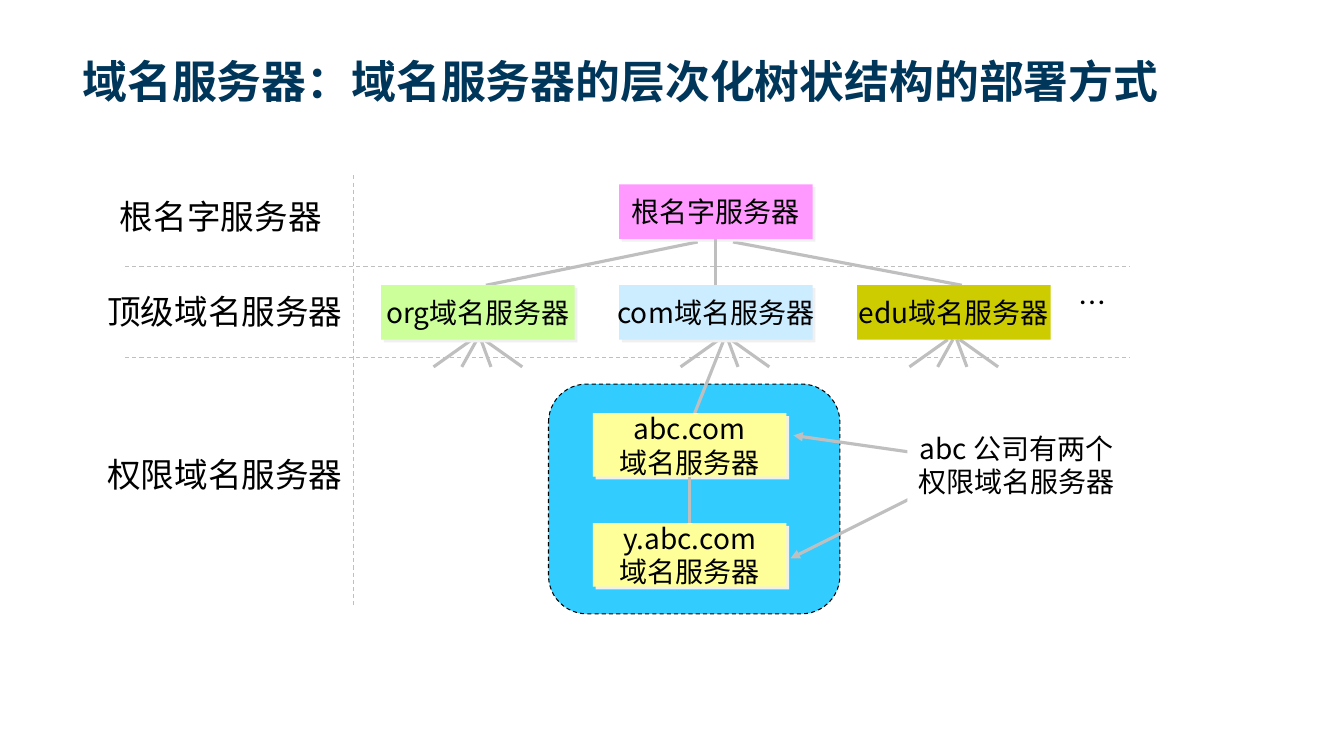
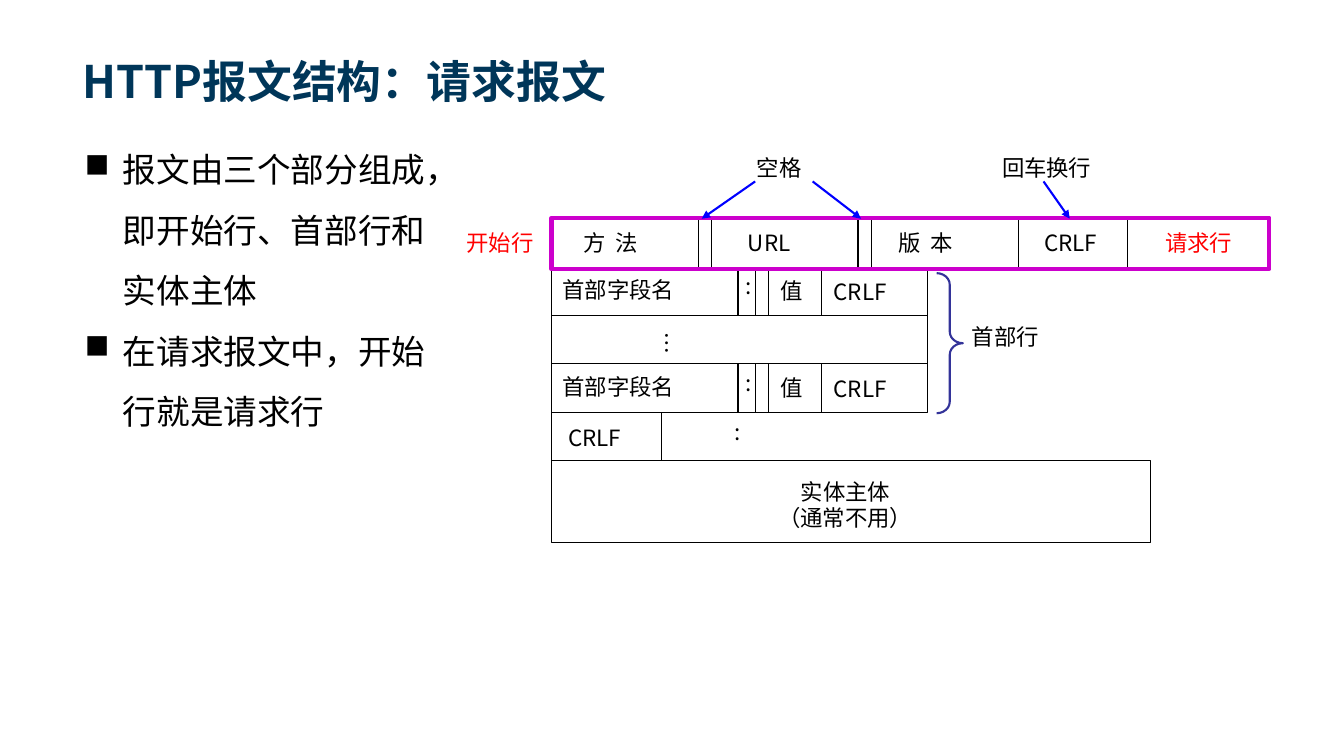
"""Build two slides on the name server hierarchy and the HTTP request message."""
import pptx
import pptx.dml.color
import pptx.enum.dml
import pptx.enum.shapes
import pptx.enum.text
import pptx.oxml
import pptx.oxml.ns
import pptx.util
from lxml import etree

Inches = pptx.util.Inches
Pt = pptx.util.Pt
RGBColor = pptx.dml.color.RGBColor
SHAPE = pptx.enum.shapes.MSO_SHAPE
ALIGN = pptx.enum.text.PP_ALIGN
ANCHOR = pptx.enum.text.MSO_ANCHOR
DASH = pptx.enum.dml.MSO_LINE.DASH
qn = pptx.oxml.ns.qn

FONT = "Noto Sans CJK SC"
NAVY = RGBColor(0x00, 0x36, 0x59)
BLACK = RGBColor(0x00, 0x00, 0x00)
WHITE = RGBColor(0xFF, 0xFF, 0xFF)
GREY = RGBColor(0xBF, 0xBF, 0xBF)
PINK = RGBColor(0xFF, 0x99, 0xFF)
GREEN = RGBColor(0xCC, 0xFF, 0x99)
PALE_BLUE = RGBColor(0xCC, 0xEC, 0xFF)
OLIVE = RGBColor(0xCC, 0xCC, 0x00)
YELLOW = RGBColor(0xFF, 0xFF, 0x99)
SKY = RGBColor(0x33, 0xCC, 0xFF)
RED = RGBColor(0xFF, 0x00, 0x00)
BLUE = RGBColor(0x00, 0x00, 0xFF)
INDIGO = RGBColor(0x33, 0x33, 0x99)
MAGENTA = RGBColor(0xCC, 0x00, 0xCC)
SHADOW_HEX = "F0F0F0"

SERVER_W, SERVER_H = 1.92, 0.54
ROW_TOP, ROW_H = 2.17, 0.48
TABLE_LEFT, HEADER_W = 5.47, 3.73


def write(shape, text, size, color=BLACK, align=ALIGN.LEFT, anchor=ANCHOR.TOP,
          wrap=True, bold=False, font=FONT):
    """Put formatted text into a shape."""
    frame = shape.text_frame
    frame.text = text
    frame.word_wrap = wrap
    frame.vertical_anchor = anchor
    for para in frame.paragraphs:
        para.alignment = align
        for span in para.runs:
            span.font.size = Pt(size)
            span.font.bold = bold
            span.font.name = font
            span.font.color.rgb = color
            east_asian = etree.SubElement(span.font._element, qn("a:ea"))
            east_asian.set("typeface", FONT)


def add_text(slide, text, left, top, width, height, size, **style):
    """Add a text box."""
    box = slide.shapes.add_textbox(
        Inches(left), Inches(top), Inches(width), Inches(height))
    write(box, text, size, **style)
    return box


def add_title(slide, text, font=FONT):
    """Add the slide title."""
    add_text(slide, text, 0.72, 0.14, 11.88, 0.98, 32, color=NAVY,
             anchor=ANCHOR.BOTTOM, bold=True, font=font)


def add_box(slide, left, top, width, height, fill=None, line=None, weight=0.75,
            kind=SHAPE.RECTANGLE):
    """Add a preset shape without a shadow."""
    box = slide.shapes.add_shape(
        kind, Inches(left), Inches(top), Inches(width), Inches(height))
    box.shadow.inherit = False
    if fill is None:
        box.fill.background()
    else:
        box.fill.solid()
        box.fill.fore_color.rgb = fill
    if line is None:
        box.line.fill.background()
    else:
        box.line.color.rgb = line
        box.line.width = Pt(weight)
    return box


def add_line(slide, start, end, color=BLACK, weight=0.75, dashed=False, arrow=False):
    """Add a straight line between two points."""
    line = slide.shapes.add_connector(
        pptx.enum.shapes.MSO_CONNECTOR.STRAIGHT,
        Inches(start[0]), Inches(start[1]), Inches(end[0]), Inches(end[1]))
    line.line.color.rgb = color
    line.line.width = Pt(weight)
    if dashed:
        line.line.dash_style = DASH
    if arrow:
        tail = etree.SubElement(line.line._get_or_add_ln(), qn("a:tailEnd"))
        tail.set("type", "triangle")
    etree.SubElement(line._element.spPr, qn("a:effectLst"))
    return line


def add_server(slide, text, left, top, fill, height=SERVER_H, shadow=True):
    """Add a name server box."""
    box = add_box(slide, left, top, SERVER_W, height, fill)
    write(box, text, 20, align=ALIGN.CENTER, anchor=ANCHOR.MIDDLE, wrap=False)
    if shadow:
        effects = box._element.spPr.find(qn("a:effectLst"))
        outer = etree.SubElement(effects, qn("a:outerShdw"))
        outer.set("dist", str(Pt(2.8)))
        outer.set("dir", "2700000")
        etree.SubElement(outer, qn("a:srgbClr")).set("val", SHADOW_HEX)
    return box


def add_verticals(slide, positions, row):
    """Add cell dividers to one row of the message."""
    top = ROW_TOP + row * ROW_H
    for x in positions:
        add_line(slide, (x, top), (x, top + ROW_H))


def add_header_row(slide, row):
    """Add one header field row of the message."""
    top = ROW_TOP + row * ROW_H
    add_box(slide, TABLE_LEFT, top, HEADER_W, ROW_H, line=BLACK)
    add_verticals(slide, (7.32, 7.49, 7.62, 8.15), row)
    for text, left, drop, width in (("首部字段名", 5.48, 0.04, 1.72),
                                    (":", 7.3, 0, 0.3),
                                    ("值", 7.64, 0.05, 0.49),
                                    ("CRLF", 8.17, 0.06, 0.86)):
        add_text(slide, text, left, top + drop, width, 0.34, 16)


def add_bullets(slide, items):
    """Add the bulleted list."""
    box = add_text(slide, "\n".join(items), 0.74, 1.23, 3.64, 3.06, 24)
    for para in box.text_frame.paragraphs:
        properties = para._element.get_or_add_pPr()
        properties.set("marL", str(Inches(0.38)))
        properties.set("indent", str(-Inches(0.38)))
        etree.SubElement(properties, qn("a:buChar")).set("char", "■")
        para.line_spacing = 1.5


def build_servers(slide):
    """Draw the tree of name servers."""
    add_title(slide, "域名服务器：域名服务器的层次化树状结构的部署方式", "Arial")
    zone = add_box(slide, 5.44, 3.81, 2.89, 2.28, SKY, BLACK,
                   kind=SHAPE.ROUNDED_RECTANGLE)
    zone.line.dash_style = DASH

    for y in (2.64, 3.55):
        add_line(slide, (1.24, y), (11.2, y), GREY, dashed=True)
    add_line(slide, (3.51, 1.74), (3.51, 6), GREY, dashed=True)
    for text, left, top, width in (("根名字服务器", 1.08, 1.89, 2.22),
                                   ("顶级域名服务器", 0.95, 2.84, 2.56),
                                   ("权限域名服务器", 0.95, 4.45, 2.56)):
        add_text(slide, text, left, top, width, 0.51, 24, align=ALIGN.CENTER)

    twigs = ((0.07, 0.45), (0.04, 0.14), (-0.05, -0.43), (0, -0.15))
    for center in (4.73, 7.18, 9.45):
        for near, far in twigs:
            if center == 7.18 and near == 0:
                end = (6.89, 4.1)
            else:
                end = (center + far, 3.64)
            add_line(slide, (center + near, 3.37), end, GREY, 2.25)
    for start, end in (((6.92, 2.4), (4.82, 2.83)), ((7.27, 2.4), (9.54, 2.83))):
        add_line(slide, start, end, GREY, 2.25)
    for start, end in (((9.27, 4.52), (7.87, 4.32)), ((9.28, 4.82), (7.84, 5.54))):
        add_line(slide, start, end, GREY, 2.25, arrow=True)

    root = add_server(slide, "根名字服务器", 6.14, 1.83, PINK)
    add_server(slide, "org域名服务器", 3.78, 2.83, GREEN)
    com = add_server(slide, "com域名服务器", 6.14, 2.83, PALE_BLUE)
    add_server(slide, "edu域名服务器", 8.5, 2.83, OLIVE, shadow=False)
    add_text(slide, "…", 10.6, 2.78, 0.43, 0.44, 20, wrap=False)
    first = add_server(slide, "abc.com\n域名服务器", 5.88, 4.1, YELLOW, 0.63)
    second = add_server(slide, "y.abc.com\n域名服务器", 5.88, 5.19, YELLOW, 0.63)
    for upper, lower in ((root, com), (first, second)):
        link = add_line(slide, (0, 0), (1, 1), GREY, 2.25)
        link.begin_connect(upper, 2)
        link.end_connect(lower, 0)

    note = add_box(slide, 9, 4.23, 2.16, 0.77, WHITE)
    write(note, "abc 公司有两个\n权限域名服务器", 20, align=ALIGN.CENTER)


def build_request(slide):
    """Draw the layout of an HTTP request message."""
    add_title(slide, "HTTP报文结构：请求报文")
    add_bullets(slide, ("报文由三个部分组成，即开始行、首部行和实体主体",
                        "在请求报文中，开始行就是请求行"))

    add_box(slide, TABLE_LEFT, ROW_TOP, 5.71, ROW_H, line=BLACK)
    add_verticals(slide, (6.93, 7.06, 8.51, 8.64, 10.1), 0)
    for row in (1, 3):
        add_header_row(slide, row)
    add_verticals(slide, (TABLE_LEFT, TABLE_LEFT + HEADER_W), 2)
    add_verticals(slide, (TABLE_LEFT, 6.56), 4)
    add_box(slide, TABLE_LEFT, ROW_TOP + 5 * ROW_H, 5.94, 0.81, line=BLACK)
    add_text(slide, "实体主体\n（通常不用）", 7.5, 4.69, 1.77, 0.58, 16,
             align=ALIGN.CENTER)
    add_box(slide, TABLE_LEFT, 2.16, 7.12, 0.51, line=MAGENTA, weight=3)

    for text, left in (("方 法", 5.69), ("版 本", 8.81)):
        box = add_text(slide, text, left, 2.22, 1.1, 0.34, 16)
        box.text_frame.paragraphs[0].runs[0].font._element.set("spc", "180")
    for text, left, top, width in (("URL", 7.32, 2.22, 0.75),
                                   ("CRLF", 10.26, 2.22, 0.86),
                                   ("CRLF", 5.54, 4.16, 0.86),
                                   (":", 7.19, 4.1, 0.3),
                                   ("首部行", 9.54, 3.16, 1.33),
                                   ("空格", 7.41, 1.48, 1),
                                   ("回车换行", 9.84, 1.48, 1.54)):
        add_text(slide, text, left, top, width, 0.34, 16)
    add_text(slide, "开始行", 4.53, 2.22, 0.96, 0.37, 16, color=RED)
    add_text(slide, "请求行", 11.32, 2.22, 1, 0.37, 16, color=RED, align=ALIGN.RIGHT)
    dots = add_text(slide, "…", 6.33, 3.2, 0.51, 0.32, 16)
    dots.rotation = 270

    brace = add_box(slide, 9.29, 2.71, 0.26, 1.39, line=INDIGO, weight=1.5,
                    kind=SHAPE.RIGHT_BRACE)
    brace.adjustments[0] = 0.44
    for start, end in ((8.06, 8.54), (7.49, 6.96), (10.35, 10.61)):
        add_line(slide, (start, 1.8), (end, ROW_TOP), BLUE, 1.5, arrow=True)


def main():
    """Build and save the deck."""
    deck = pptx.Presentation()
    deck.slide_width = Inches(13.33)
    deck.slide_height = Inches(7.5)
    for build in (build_servers, build_request):
        build(deck.slides.add_slide(deck.slide_layouts[6]))
    deck.save("out.pptx")


if __name__ == "__main__":
    main()
